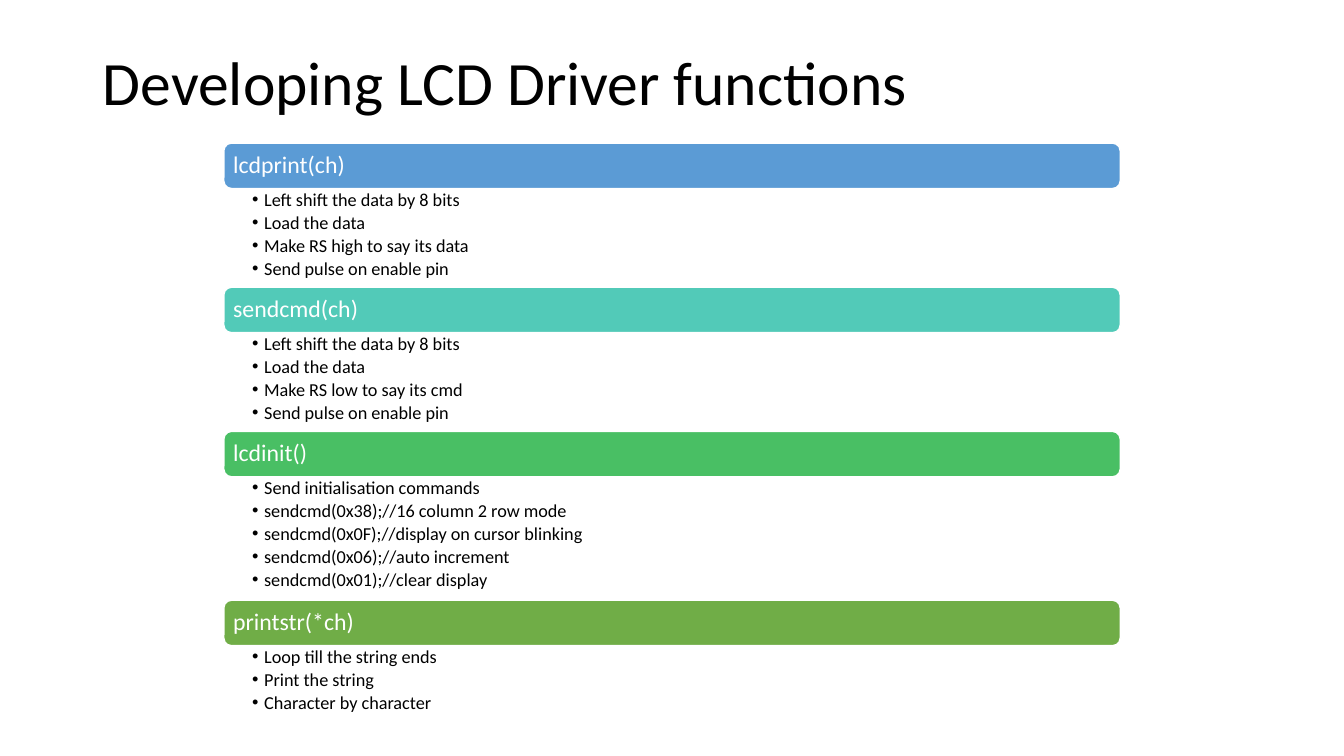
from dataclasses import dataclass

from lxml.etree import SubElement
from pptx import Presentation
from pptx.dml.color import RGBColor
from pptx.enum.shapes import MSO_SHAPE
from pptx.enum.text import MSO_ANCHOR, MSO_AUTO_SIZE, PP_ALIGN
from pptx.oxml.ns import qn
from pptx.util import Inches, Pt


@dataclass(frozen=True)
class Theme:
    """Colours, font and type sizes of the slide."""
    font: str = "Calibri"
    dark: str = "000000"
    light: str = "FFFFFF"
    title_size: int = 44
    header_size: int = 17
    step_size: int = 13
    accents: tuple = ("5B9BD5", "52CAB8", "49BF64", "70AD47")


THEME = Theme()
LEFT, TOP, WIDTH = 2.22, 1.42, 8.89
HEADER_HEIGHT, STEP_HEIGHT = 0.45, 0.245

FUNCTIONS = [
    ("lcdprint(ch)", [
        "Left shift the data by 8 bits",
        "Load the data",
        "Make RS high to say its data",
        "Send pulse on enable pin",
    ]),
    ("sendcmd(ch)", [
        "Left shift the data by 8 bits",
        "Load the data",
        "Make RS low to say its cmd",
        "Send pulse on enable pin",
    ]),
    ("lcdinit()", [
        "Send initialisation commands",
        "sendcmd(0x38);//16 column 2 row mode",
        "sendcmd(0x0F);//display on cursor blinking",
        "sendcmd(0x06);//auto increment",
        "sendcmd(0x01);//clear display",
    ]),
    ("printstr(*ch)", [
        "Loop till the string ends",
        "Print the string",
        "Character by character",
    ]),
]


def set_attributes(target, values):
    """Set each named attribute of an object."""
    for name, value in values.items():
        setattr(target, name, value)


def format_frame(tf, anchor, insets):
    """Set wrapping, anchor and the left, top, right and bottom insets."""
    left, top, right, bottom = map(Inches, insets)
    set_attributes(tf, {
        "word_wrap": True, "auto_size": MSO_AUTO_SIZE.NONE,
        "vertical_anchor": anchor, "margin_left": left, "margin_top": top,
        "margin_right": right, "margin_bottom": bottom,
    })


def write_paragraph(p, text, size, color, space_after=0):
    """Write one left-aligned paragraph in the theme font."""
    set_attributes(p, {
        "alignment": PP_ALIGN.LEFT, "line_spacing": 0.9,
        "space_before": Pt(0), "space_after": Pt(space_after),
    })
    r = p.add_run()
    r.text = text
    set_attributes(r.font, {"name": THEME.font, "size": Pt(size)})
    r.font.color.rgb = RGBColor.from_string(color)


def add_bullet(p):
    """Give a paragraph a hanging round bullet."""
    pPr = p._p.get_or_add_pPr()
    pPr.set("marL", str(Inches(0.12)))
    pPr.set("indent", str(-Inches(0.12)))
    SubElement(pPr, qn("a:buFont"), typeface="Arial")
    SubElement(pPr, qn("a:buChar"), char="•")


def add_title(slide, text):
    """Place and fill the title placeholder."""
    sp = slide.shapes.title
    set_attributes(sp, {
        "left": Inches(0.92), "top": Inches(0.12),
        "width": Inches(11.5), "height": Inches(1.45),
    })
    format_frame(sp.text_frame, MSO_ANCHOR.MIDDLE, (0.1, 0.05, 0.1, 0.05))
    write_paragraph(sp.text_frame.paragraphs[0], text, THEME.title_size, THEME.dark)


def add_header(slide, top, text, color):
    """Add a rounded bar that names a function."""
    sp = slide.shapes.add_shape(
        MSO_SHAPE.ROUNDED_RECTANGLE,
        Inches(LEFT), Inches(top), Inches(WIDTH), Inches(HEADER_HEIGHT))
    sp.shadow.inherit = False
    sp.fill.solid()
    sp.fill.fore_color.rgb = RGBColor.from_string(color)
    sp.line.color.rgb = RGBColor.from_string(THEME.light)
    sp.line.width = Pt(1)
    format_frame(sp.text_frame, MSO_ANCHOR.MIDDLE, (0.07,) * 4)
    write_paragraph(sp.text_frame.paragraphs[0], text, THEME.header_size, THEME.light)


def add_steps(slide, top, height, steps):
    """Add the bulleted steps of a function."""
    sp = slide.shapes.add_textbox(
        Inches(LEFT), Inches(top), Inches(WIDTH), Inches(height))
    tf = sp.text_frame
    format_frame(tf, MSO_ANCHOR.TOP, (0.28, 0.02, 0.13, 0.02))
    for i, step in enumerate(steps):
        p = tf.add_paragraph() if i else tf.paragraphs[0]
        write_paragraph(p, step, THEME.step_size, THEME.dark, space_after=2.4)
        add_bullet(p)


def main():
    """Build and save the slide."""
    prs = Presentation()
    set_attributes(prs, {"slide_width": Inches(13.33), "slide_height": Inches(7.5)})
    slide = prs.slides.add_slide(prs.slide_layouts.get_by_name("Title Only"))
    add_title(slide, "Developing LCD Driver functions")
    top = TOP
    for (name, steps), color in zip(FUNCTIONS, THEME.accents):
        height = STEP_HEIGHT * len(steps)
        add_header(slide, top, name, color)
        add_steps(slide, top + HEADER_HEIGHT, height, steps)
        top += HEADER_HEIGHT + height
    prs.save("out.pptx")


if __name__ == "__main__":
    main()
